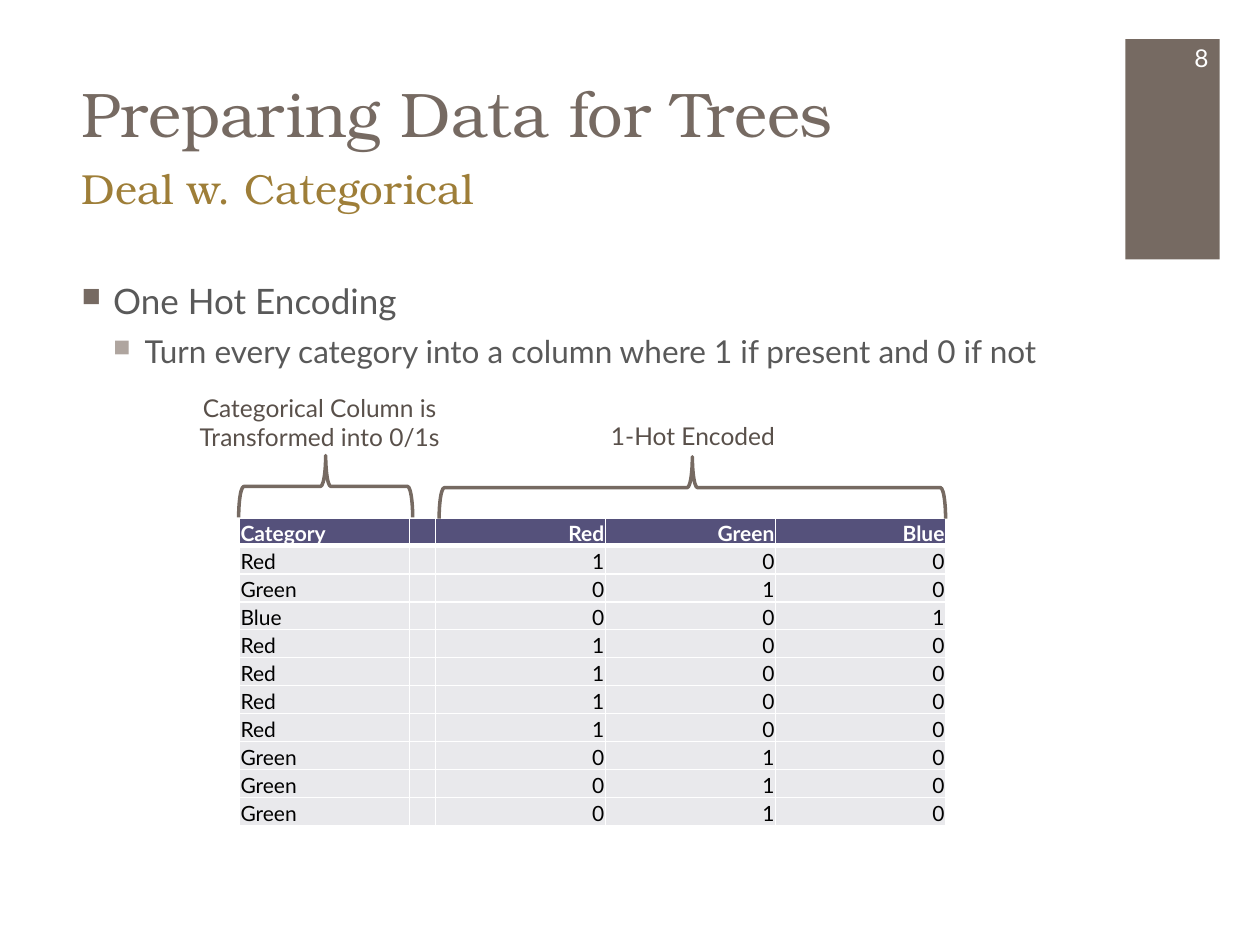
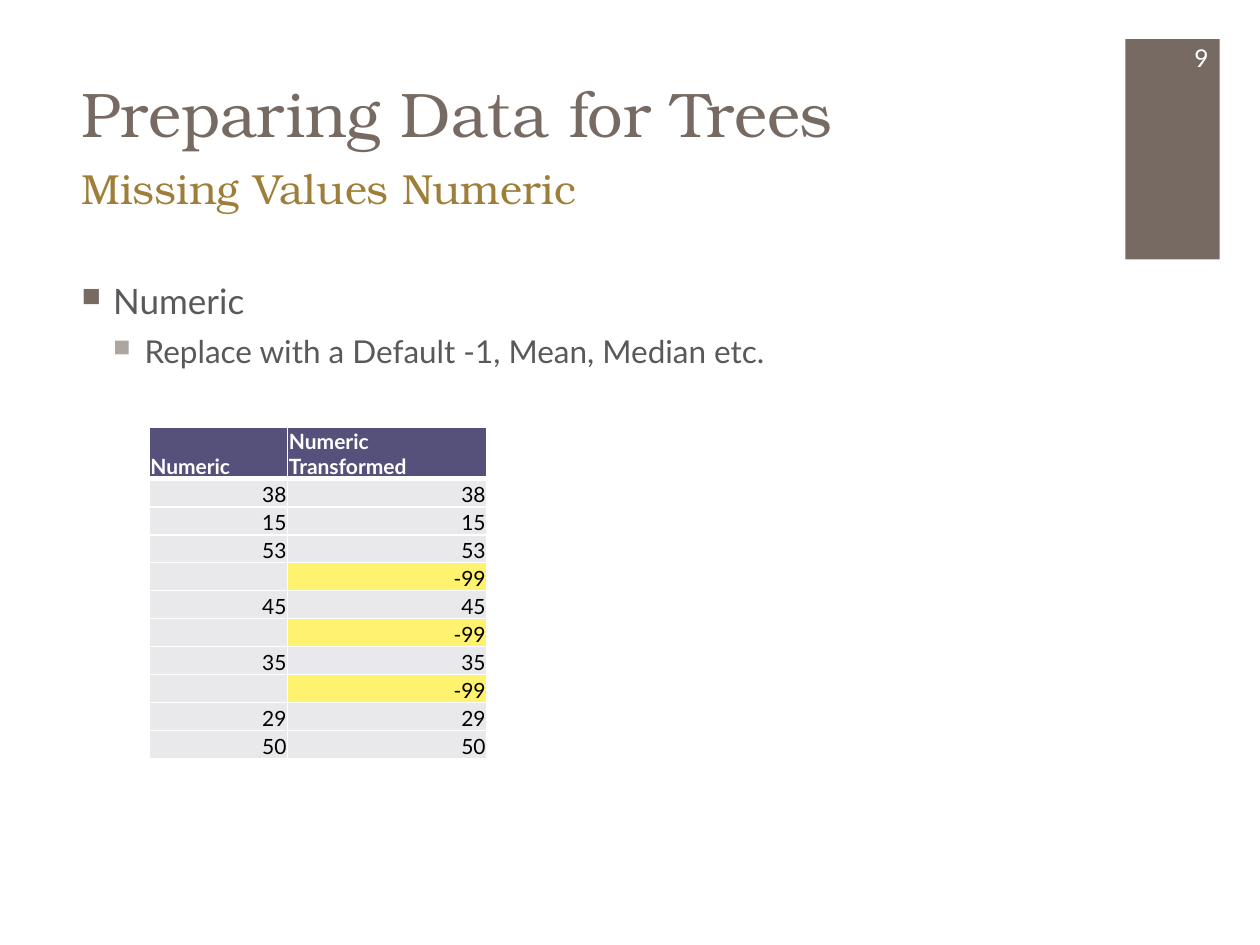
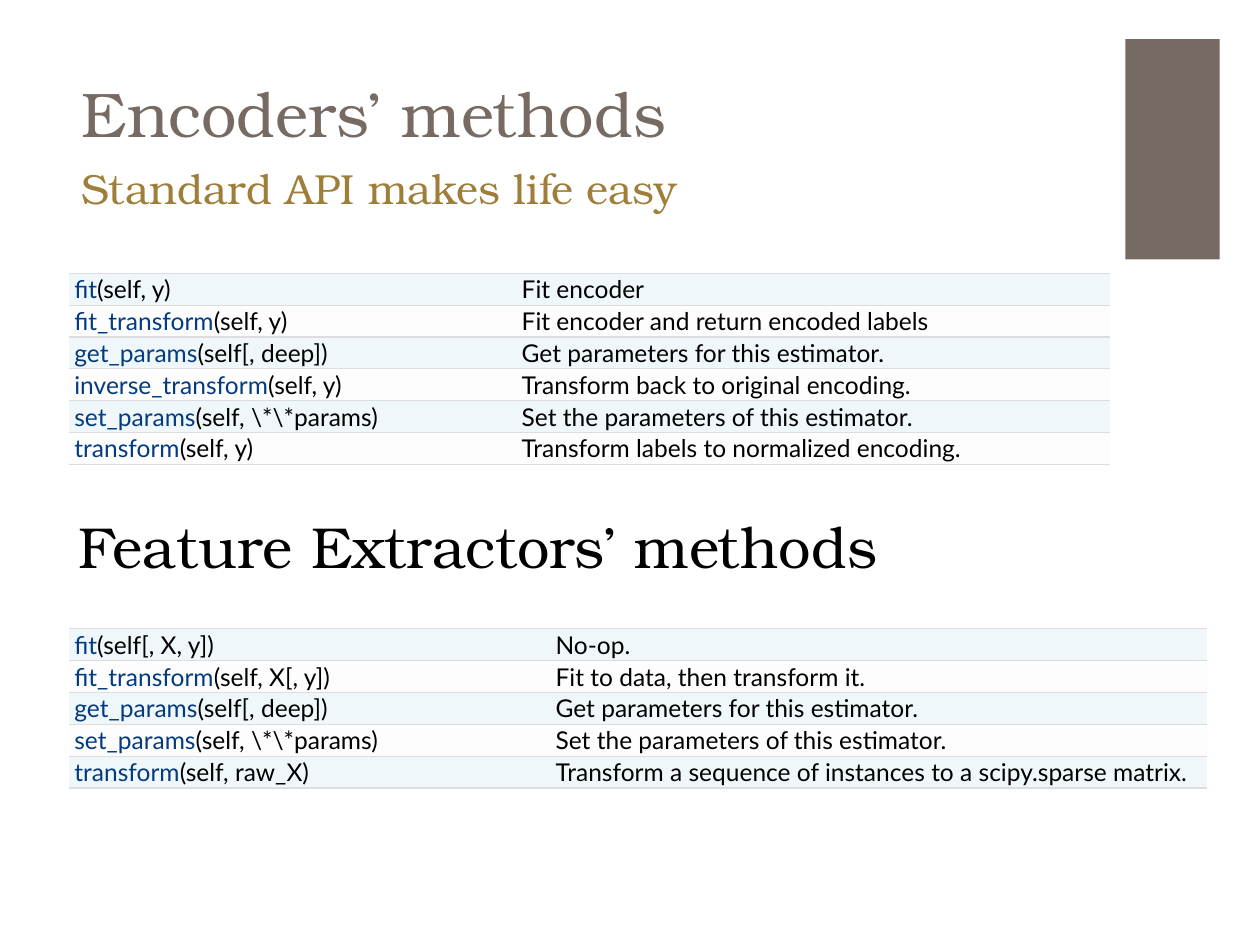
import pptx
import pptx.dml.color
import pptx.enum.shapes
import pptx.enum.text
import pptx.oxml
import pptx.oxml.ns
import pptx.util
from lxml import etree

Pt = pptx.util.Pt
ALIGN = pptx.enum.text.PP_ALIGN
ANCHOR = pptx.enum.text.MSO_ANCHOR
SHAPE = pptx.enum.shapes.MSO_SHAPE

SERIF, SANS = "TeX Gyre Bonum", "Lato"
COLORS = {
    "brown": "766A62", "gold": "9E7E38", "body": "595959", "label": "59504A",
    "light_bullet": "AFA59F", "white": "FFFFFF", "black": "000000",
    "header": "55517B", "cell": "E9E9EC", "filled_in": "FFF26E",
    "method": "033B80", "rule": "DDDDDD", "odd_row": "F0F7FA", "even_row": "FDFDFD",
}
TITLE_ONLY = 5

# Boxes are left, top, width, height in points
BAND = (643, 22.3, 54, 126)
NUMBER = (653.8, 18.7, 43.9, 28.8)
TITLE = (39.6, 10.8, 594.7, 78.5)
SUBTITLE = (39.6, 89.3, 595.4, 61.2)
BODY = (39.6, 156.2, 594.7, 82)
DATA_INSETS = (0.7, 0.7, 0.7, 0)
METHOD_INSETS = (2.9, 0.7, 4.3, 0.7)

CATEGORIES = ["Red", "Green", "Blue"]
CATEGORY_COLUMN = ["Red", "Green", "Blue"] + ["Red"] * 4 + ["Green"] * 3
NUMERIC_COLUMN = ["38", "15", "53", "", "45", "", "35", "", "29", "50"]
DEFAULT_NUMBER = "-99"

ENCODER_METHODS = [
    ("fit", "(self, y)", "Fit encoder"),
    ("fit_transform", "(self, y)", "Fit encoder and return encoded labels"),
    ("get_params", "(self[, deep])", "Get parameters for this estimator."),
    ("inverse_transform", "(self, y)", "Transform back to original encoding."),
    ("set_params", r"(self, \*\*params)", "Set the parameters of this estimator."),
    ("transform", "(self, y)", "Transform labels to normalized encoding."),
]
EXTRACTOR_METHODS = [
    ("fit", "(self[, X, y])", "No-op."),
    ("fit_transform", "(self, X[, y])", "Fit to data, then transform it."),
    ("get_params", "(self[, deep])", "Get parameters for this estimator."),
    ("set_params", r"(self, \*\*params)", "Set the parameters of this estimator."),
    ("transform", "(self, raw_X)",
     "Transform a sequence of instances to a scipy.sparse matrix."),
]


def rgb(color):
    return pptx.dml.color.RGBColor.from_string(COLORS[color])


def points(box):
    return [Pt(length) for length in box]


def set_font(font, size, color, name=SANS, bold=False):
    font.size, font.name, font.bold = Pt(size), name, bold
    font.color.rgb = rgb(color)


def add_text(slide, box, lines, size, color, name=SANS, align=ALIGN.LEFT, anchor=ANCHOR.TOP):
    frame = slide.shapes.add_textbox(*points(box)).text_frame
    frame.word_wrap = True
    frame.vertical_anchor = anchor
    frame.text = "\n".join(lines)
    for paragraph in frame.paragraphs:
        paragraph.alignment = align
        set_font(paragraph.font, size, color, name)
    return frame


# Parts that every slide has
def start_slide(deck, title, subtitle, number=None):
    slide = deck.slides.add_slide(deck.slide_layouts[TITLE_ONLY])

    band = slide.shapes.add_shape(SHAPE.RECTANGLE, *points(BAND))
    band.shadow.inherit = False
    band.fill.solid()
    band.fill.fore_color.rgb = rgb("brown")
    band.line.fill.background()

    heading = slide.shapes.title
    heading.left, heading.top, heading.width, heading.height = points(TITLE)
    frame = heading.text_frame
    frame.text = title
    frame.auto_size = pptx.enum.text.MSO_AUTO_SIZE.NONE
    frame.vertical_anchor = ANCHOR.BOTTOM
    frame.paragraphs[0].alignment = ALIGN.LEFT
    set_font(frame.paragraphs[0].font, 36, "brown", SERIF)

    add_text(slide, SUBTITLE, [subtitle], 24, "gold", SERIF)
    if number:
        add_text(slide, NUMBER, [number], 14, "white", align=ALIGN.RIGHT, anchor=ANCHOR.MIDDLE)
    return slide


def add_bullet(paragraph, indent, color):
    properties = paragraph._p.get_or_add_pPr()
    properties.set("marL", str(Pt(indent)))
    properties.set("indent", str(Pt(-18)))
    for tag, value in (("buSzPct", "75000"), ("buChar", "■")):
        etree.SubElement(properties, pptx.oxml.ns.qn(f"a:{tag}")).set(
            "char" if tag == "buChar" else "val", value)
    bullet_color = etree.Element(pptx.oxml.ns.qn("a:buClr"))
    etree.SubElement(bullet_color, pptx.oxml.ns.qn("a:srgbClr")).set("val", COLORS[color])
    properties.find(pptx.oxml.ns.qn("a:buSzPct")).addprevious(bullet_color)


def add_body(slide, box, topic, detail):
    frame = slide.shapes.add_textbox(*points(box)).text_frame
    frame.word_wrap = True
    frame.text = f"{topic}\n{detail}"
    first, second = frame.paragraphs
    second.level = 1
    second.space_before = Pt(6)
    add_bullet(first, 18, "brown")
    add_bullet(second, 36, "light_bullet")
    set_font(first.font, 20, "body")
    set_font(second.font, 18, "body")


# Tables
def set_borders(cell, borders):
    """Borders maps a side (L, R, T, B) to a colour and width; other sides have no line."""
    properties = cell._tc.get_or_add_tcPr()
    for place, side in enumerate("LRTB"):
        line = etree.Element(pptx.oxml.ns.qn(f"a:ln{side}"))
        if side in borders:
            color, width = borders[side]
            line.set("w", str(Pt(width)))
            fill = etree.SubElement(line, pptx.oxml.ns.qn("a:solidFill"))
            etree.SubElement(fill, pptx.oxml.ns.qn("a:srgbClr")).set("val", COLORS[color])
        else:
            etree.SubElement(line, pptx.oxml.ns.qn("a:noFill"))
        properties.insert(place, line)


def add_grid(slide, left, top, widths, row_height, row_count):
    box = (left, top, sum(widths), row_height * row_count)
    grid = slide.shapes.add_table(row_count, len(widths), *points(box)).table
    grid.first_row = grid.horz_banding = False
    for column, width in zip(grid.columns, widths):
        column.width = Pt(width)
    return grid


def format_cell(cell, fill, borders, insets, anchor):
    cell.margin_left, cell.margin_top, cell.margin_right, cell.margin_bottom = points(insets)
    cell.vertical_anchor = anchor
    set_borders(cell, borders)
    cell.fill.solid()
    cell.fill.fore_color.rgb = rgb(fill)
    return cell.text_frame.paragraphs[0]


def add_data_table(slide, left, top, widths, header, rows, header_align, row_align):
    grid = add_grid(slide, left, top, widths, 16, len(rows) + 1)
    for r, values in enumerate([header] + rows):
        is_header = r == 0
        borders = dict.fromkeys("LRTB", ("white", 1))
        if is_header:
            borders["B"] = ("white", 3)
        elif r == 1:
            borders["T"] = ("white", 3)
        for c, value in enumerate(values):
            fill = ("header" if is_header else
                    "filled_in" if value == DEFAULT_NUMBER else "cell")
            paragraph = format_cell(grid.cell(r, c), fill, borders, DATA_INSETS, ANCHOR.BOTTOM)
            paragraph.text = value
            paragraph.alignment = (header_align if is_header else row_align)[c]
            set_font(paragraph.font, 12, "white" if is_header else "black", bold=is_header)


def add_method_table(slide, left, top, widths, methods):
    grid = add_grid(slide, left, top, widths, 17.9, len(methods))
    borders = dict.fromkeys("TB", ("rule", 0.75))
    for r, (method, arguments, purpose) in enumerate(methods):
        fill = "even_row" if r % 2 else "odd_row"
        signature, description = (
            format_cell(grid.cell(r, c), fill, borders, METHOD_INSETS, ANCHOR.MIDDLE)
            for c in range(2))
        for text, color in ((method, "method"), (arguments, "black")):
            run = signature.add_run()
            run.text = text
            set_font(run.font, 14, color)
        description.text = purpose
        set_font(description.font, 14, "black")


def add_brace(slide, left, top, span, height):
    """Brace over the given box, opening downwards."""
    shift = (span - height) / 2
    brace = slide.shapes.add_shape(
        SHAPE.LEFT_BRACE, *points((left + shift, top - shift, height, span)))
    brace.rotation = 90
    brace.shadow.inherit = False
    brace.fill.background()
    brace.line.color.rgb = rgb("brown")
    brace.line.width = Pt(2)


# Slides
def build_one_hot(deck):
    slide = start_slide(deck, "Preparing Data for Trees", "Deal w. Categorical", "8")
    add_body(slide, BODY, "One Hot Encoding",
             "Turn every category into a column where 1 if present and 0 if not")
    rows = [[value, ""] + [str(int(value == category)) for category in CATEGORIES]
            for value in CATEGORY_COLUMN]
    aligns = [ALIGN.LEFT] * 2 + [ALIGN.RIGHT] * 3
    add_data_table(slide, 136.8, 295.9, [97.2, 14.8] + [97.2] * 3,
                   ["Category", ""] + CATEGORIES, rows, aligns, aligns)
    add_brace(slide, 250.9, 261, 289.4, 35.3)
    add_text(slide, (301.7, 236.9, 188.6, 24.5), ["1-Hot Encoded"],
             14, "label", align=ALIGN.CENTER)
    add_brace(slide, 136.4, 260.3, 99.4, 35.3)
    add_text(slide, (88.4, 221, 188.6, 41),
             ["Categorical Column is", "Transformed into 0/1s"],
             14, "label", align=ALIGN.CENTER)


def build_missing_values(deck):
    slide = start_slide(deck, "Preparing Data for Trees", "Missing Values Numeric", "9")
    add_body(slide, BODY, "Numeric", "Replace with a Default -1, Mean, Median etc.")
    rows = [[value, value or DEFAULT_NUMBER] for value in NUMERIC_COLUMN]
    add_data_table(slide, 85.2, 244.1, [79.2, 113.8], ["Numeric", "Numeric Transformed"],
                   rows, [ALIGN.LEFT] * 2, [ALIGN.RIGHT] * 2)


def build_methods(deck):
    slide = start_slide(deck, "Encoders’ methods", "Standard API makes life easy")
    add_method_table(slide, 39.6, 156.2, [255.6, 339.1], ENCODER_METHODS)
    add_method_table(slide, 39.6, 359.3, [275, 375.1], EXTRACTOR_METHODS)
    heading = add_text(slide, (39.6, 275, 620.6, 78.5), ["Feature Extractors’ methods"],
                       33, "black", SERIF, anchor=ANCHOR.MIDDLE)
    heading.margin_left = heading.margin_right = Pt(5)
    heading.margin_top = heading.margin_bottom = Pt(2.9)
    heading.paragraphs[0].line_spacing = 0.9


def main():
    deck = pptx.Presentation()
    deck.slide_width, deck.slide_height = Pt(720), Pt(540)
    build_one_hot(deck)
    build_missing_values(deck)
    build_methods(deck)
    deck.save("out.pptx")


if __name__ == "__main__":
    main()
